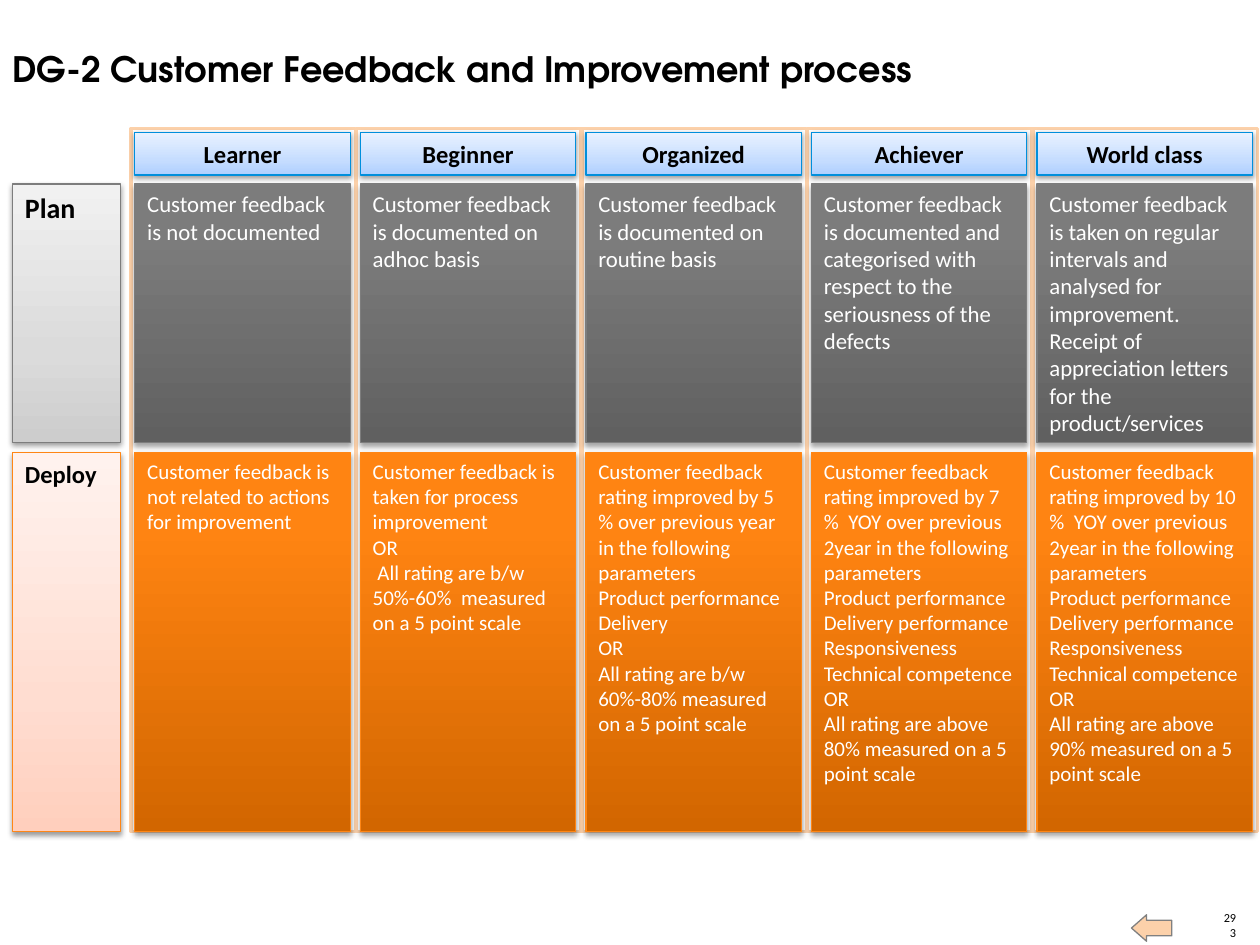
from copy import deepcopy

from lxml.etree import SubElement
from pptx import Presentation
from pptx.dml.color import RGBColor
from pptx.enum.shapes import MSO_SHAPE
from pptx.enum.text import MSO_ANCHOR, PP_ALIGN
from pptx.oxml.ns import qn
from pptx.util import Inches, Pt

TITLE = "DG-2 Customer Feedback and Improvement process"
PAGE = "293"
LEVELS = ["Learner", "Beginner", "Organized", "Achiever", "World class"]
PLAN = [
    ["Customer feedback is not documented"],
    ["Customer feedback is documented on adhoc basis"],
    ["Customer feedback is documented on routine basis"],
    ["Customer feedback is documented and categorised with respect to the "
     "seriousness of the defects"],
    ["Customer feedback is taken on regular intervals and analysed for improvement.",
     "Receipt of appreciation letters for the product/services"],
]
SKILLS = ["Product performance", "Delivery performance", "Responsiveness",
          "Technical competence", "OR"]
DEPLOY = [
    ["Customer feedback is not related to actions for improvement"],
    ["Customer feedback is taken for process improvement", "OR",
     " All rating are b/w 50%-60%  measured on a 5 point scale"],
    ["Customer feedback rating improved by 5 % over previous year in the "
     "following parameters", "Product performance", "Delivery", "OR",
     "All rating are b/w 60%-80% measured on a 5 point scale"],
    ["Customer feedback rating improved by 7 %  YOY over previous 2year in the "
     "following parameters", *SKILLS,
     "All rating are above 80% measured on a 5 point scale"],
    ["Customer feedback rating improved by 10 %  YOY over previous 2year in the "
     "following parameters", *SKILLS,
     "All rating are above 90% measured on a 5 point scale"],
]

# Gradient stops run from the bottom up; each style ends with its line colour.
BLUE = [(0, "AECFFF"), (35, "C6DDFF"), (100, "E9F2FF")], "008FDC"
SILVER = [(0, "CDCDCD"), (35, "DBDBDB"), (100, "F1F1F1")], "7D7D7D"
PEACH = [(0, "FFCFBD"), (35, "FFDDD1"), (100, "FFF2EE")], "FF8615"
GREY = [(0, "606060"), (80, "7C7C7C"), (100, "7D7D7D")], "7D7D7D"
ORANGE = [(0, "D26600"), (80, "FF8412"), (100, "FF8514")], "FF8615"

# name, label size, label style, cell texts, cell size, cell style, top, height
ROWS = [
    ("Plan", 16, SILVER, PLAN, 13, GREY, 1.46, 2.05),
    ("Deploy", 14, PEACH, DEPLOY, 12, ORANGE, 3.59, 3.01),
]
LEFT, PITCH, WIDTH = 1.07, 1.79, 1.71

prs = Presentation()
prs.slide_width, prs.slide_height = Inches(10), Inches(7.5)
slide = prs.slides.add_slide(prs.slide_layouts[6])


def paint(color, code):
    color.rgb = RGBColor.from_string(code)


def write(shape, lines, size, color="000000", bold=False, font="Calibri",
          align=PP_ALIGN.LEFT, anchor=MSO_ANCHOR.TOP):
    frame = shape.text_frame
    frame.word_wrap = True
    frame.vertical_anchor = anchor
    for i, line in enumerate(lines):
        para = frame.add_paragraph() if i else frame.paragraphs[0]
        para.alignment = align
        run = para.add_run()
        run.text = line
        run.font.size, run.font.bold, run.font.name = Pt(size), bold, font
        paint(run.font.color, color)


def place(add, *args):
    """Call an add method, with the last four arguments in inches."""
    return add(*args[:-4], *map(Inches, args[-4:]))


def draw(kind, at, line, weight, fill=None):
    shape = place(slide.shapes.add_shape, kind, *at)
    shape.shadow.inherit = False
    paint(shape.line.color, line)
    shape.line.width = Pt(weight)
    if fill:
        shape.fill.solid()
        paint(shape.fill.fore_color, fill)
    return shape


def card(at, style, alpha=38, dist=1.6):
    """Draw a rectangle with a vertical gradient and a soft shadow below."""
    stops, line = style
    shape = draw(MSO_SHAPE.RECTANGLE, at, line, 0.75)
    shape.fill.gradient()
    shape.fill.gradient_angle = 90
    props = shape._element.spPr
    marks = props.find(qn("a:gradFill")).find(qn("a:gsLst"))
    marks.append(deepcopy(marks[0]))
    for stop, (spot, code) in zip(shape.fill.gradient_stops, stops):
        stop.position = spot / 100
        paint(stop.color, code)
    shade = SubElement(props.find(qn("a:effectLst")), qn("a:outerShdw"),
                       blurRad=str(Pt(3.1)), dist=str(Pt(dist)),
                       dir="5400000", rotWithShape="0")
    black = SubElement(shade, qn("a:srgbClr"), val="000000")
    SubElement(black, qn("a:alpha"), val=str(alpha * 1000))
    return shape


page = place(slide.shapes.add_textbox, 9.69, 7.34, 0.12, 0.12)
frame = page.text_frame
frame.margin_left = frame.margin_right = frame.margin_top = frame.margin_bottom = 0
write(page, [PAGE], 7, align=PP_ALIGN.RIGHT, anchor=MSO_ANCHOR.BOTTOM)

arrow = draw(MSO_SHAPE.RIGHT_ARROW, (8.98, 7.26, 0.32, 0.21), "808080", 0.75, "FCD1AA")
arrow.rotation = 180
arrow.adjustments[0], arrow.adjustments[1] = 0.59, 0.57

title = place(slide.shapes.add_textbox, 0, 0.33, 8.6, 0.44)
write(title, [TITLE], 20, bold=True, font="TeX Gyre Adventor")

lefts = [LEFT + PITCH * i for i in range(len(LEVELS))]
for x in lefts:
    draw(MSO_SHAPE.RECTANGLE, (x - 0.03, 1.02, 1.78, 5.58), "FCD1AA", 2, "FFFFFF")

for name, big, tint, texts, size, style, top, height in ROWS:
    write(card((0.1, top, 0.86, height), tint), [name], big, bold=True)
    for x, lines in zip(lefts, texts):
        cell = card((x, top, WIDTH, height), style, alpha=35, dist=1.8)
        write(cell, lines, size, color="FFFFFF")

for x, level in zip(lefts, LEVELS):
    write(card((x, 1.05, WIDTH, 0.34), BLUE), [level], 14, bold=True,
          align=PP_ALIGN.CENTER, anchor=MSO_ANCHOR.MIDDLE)

prs.save("out.pptx")
